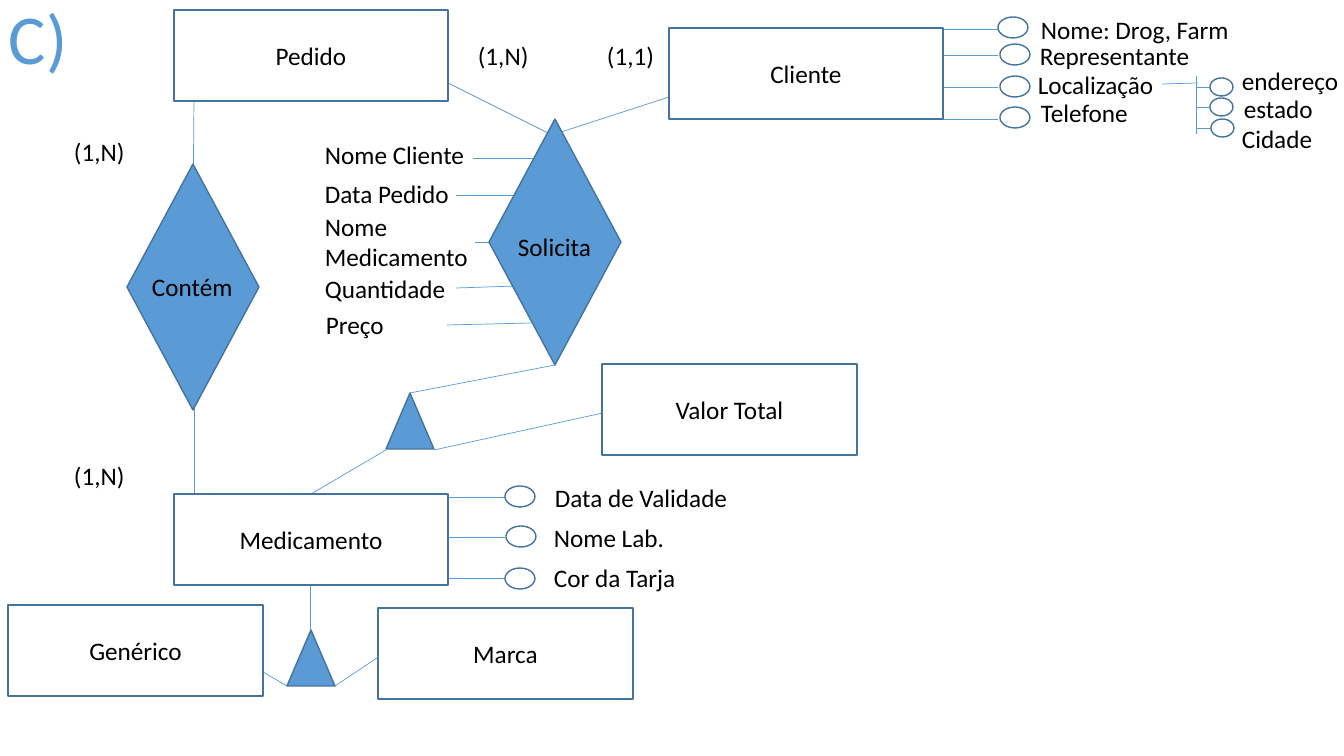
import pptx
import pptx.util
import pptx.dml.color
import pptx.enum.shapes
import pptx.enum.text
import pptx.oxml.ns
import lxml.etree

SCALE = 914400 / 100.8
BLUE = pptx.dml.color.RGBColor(0x5B, 0x9B, 0xD5)
OUTLINE = pptx.dml.color.RGBColor(0x43, 0x73, 0x9E)
WHITE = pptx.dml.color.RGBColor(0xFF, 0xFF, 0xFF)
BLACK = pptx.dml.color.RGBColor(0x00, 0x00, 0x00)
SHAPE = pptx.enum.shapes.MSO_SHAPE


def emu(*pixels):
    return [pptx.util.Emu(round(pixel * SCALE)) for pixel in pixels]


def write(frame, wording, size=18, color=BLACK):
    paragraph = frame.paragraphs[0]
    paragraph.text = wording
    paragraph.font.name = "Calibri"
    paragraph.font.size = pptx.util.Pt(size)
    paragraph.font.color.rgb = color
    return paragraph


deck = pptx.Presentation()
deck.slide_width, deck.slide_height = emu(1344, 756)
diagram = deck.slides.add_slide(deck.slide_layouts[6]).shapes

links = [
    (448, 83, 550, 134), (669, 97, 555, 134),
    (194, 102, 193, 215), (194, 393, 194, 493),
    (310, 586, 310, 630), (287, 686, 263, 672), (335, 686, 377, 658),
    (386, 450, 311, 494), (410, 393, 555, 365), (434, 450, 621, 409),
    (473, 158, 539, 158), (456, 195, 523, 195), (475, 242, 541, 242),
    (456, 288, 517, 286), (447, 325, 531, 323),
    (1162, 84, 1198, 83), (1196, 76, 1196, 134),
]
nodes = [
    (SHAPE.RECTANGLE, 174, 10, 274, 91, WHITE, "Pedido"),
    (SHAPE.RECTANGLE, 669, 28, 274, 91, WHITE, "Cliente"),
    (SHAPE.RECTANGLE, 174, 494, 274, 91, WHITE, "Medicamento"),
    (SHAPE.RECTANGLE, 8, 605, 255, 91, WHITE, "Genérico"),
    (SHAPE.RECTANGLE, 378, 608, 255, 91, WHITE, "Marca"),
    (SHAPE.RECTANGLE, 602, 364, 255, 91, WHITE, "Valor Total"),
    (SHAPE.DIAMOND, 489, 119, 132, 246, BLUE, ""),
    (SHAPE.DIAMOND, 127, 164, 132, 246, BLUE, ""),
    (SHAPE.ISOSCELES_TRIANGLE, 287, 630, 48, 56, BLUE, ""),
    (SHAPE.ISOSCELES_TRIANGLE, 386, 393, 48, 56, BLUE, ""),
]
labels = [
    ("Solicita", 508, 226, 94), ("Contém", 142, 266, 102),
    ("(1,N)", 64, 131, 72), ("(1,N)", 468, 35, 72),
    ("(1,1)", 597, 35, 69), ("(1,N)", 64, 455, 72),
    ("Nome Cliente", 315, 134, 161), ("Data Pedido", 315, 173, 145),
    ("Quantidade", 315, 268, 142), ("Preço", 316, 304, 79),
]

attribute_groups = [
    (942, 998, 30, 21, [
        (29, 998, 17, "Nome: Drog, Farm", 1031, 9, 211),
        (55, 1000, 44, "Representante", 1030, 35, 171),
        (87, 1000, 76, "Localização", 1028, 64, 161),
        (119, 1000, 107, "Telefone", 1031, 92, 108),
    ]),
    (448, 505, 30, 21, [
        (497, 505, 486, "Data de Validade", 545, 477, 195),
        (537, 506, 526, "Nome Lab.", 544, 517, 132),
        (578, 505, 568, "Cor da Tarja", 544, 557, 143),
    ]),
    (1196, 1225, 23, 18, [
        (87, 1210, 78, "endereço", 1232, 60, 118),
        (107, 1210, 98, "estado", 1234, 88, 90),
        (128, 1211, 119, "Cidade", 1232, 118, 92),
    ]),
]
for start, end, width, height, attributes in attribute_groups:
    for level, oval_left, oval_top, name, left, top, name_width in attributes:
        links.append((start, level, end, level))
        nodes.append((SHAPE.OVAL, oval_left, oval_top, width, height, WHITE, ""))
        labels.append((name, left, top, name_width))

for ends in links:
    link = diagram.add_connector(pptx.enum.shapes.MSO_CONNECTOR.STRAIGHT, *emu(*ends))
    link.line.color.rgb = BLUE
    link.line.width = pptx.util.Pt(0.5)
    lxml.etree.SubElement(link._element.spPr, pptx.oxml.ns.qn("a:effectLst"))

for kind, left, top, width, height, fill, name in nodes:
    node = diagram.add_shape(kind, *emu(left, top, width, height))
    node.shadow.inherit = False
    node.fill.solid()
    node.fill.fore_color.rgb = fill
    node.line.color.rgb = OUTLINE
    node.line.width = pptx.util.Pt(1)
    if name:
        node.text_frame.vertical_anchor = pptx.enum.text.MSO_ANCHOR.MIDDLE
        write(node.text_frame, name).alignment = pptx.enum.text.PP_ALIGN.CENTER

for name, left, top, width in labels:
    label = diagram.add_textbox(*emu(left, top, width, 40)).text_frame
    label.word_wrap = False
    label.auto_size = pptx.enum.text.MSO_AUTO_SIZE.SHAPE_TO_FIT_TEXT
    write(label, name)

medicine_name = diagram.add_textbox(*emu(315, 206, 165, 72)).text_frame
medicine_name.word_wrap = True
write(medicine_name, "Nome Medicamento")

heading = diagram.add_textbox(*emu(-1, -10, 100, 95)).text_frame
heading.word_wrap = True
write(heading, "C)", 50, BLUE)

deck.save("out.pptx")
